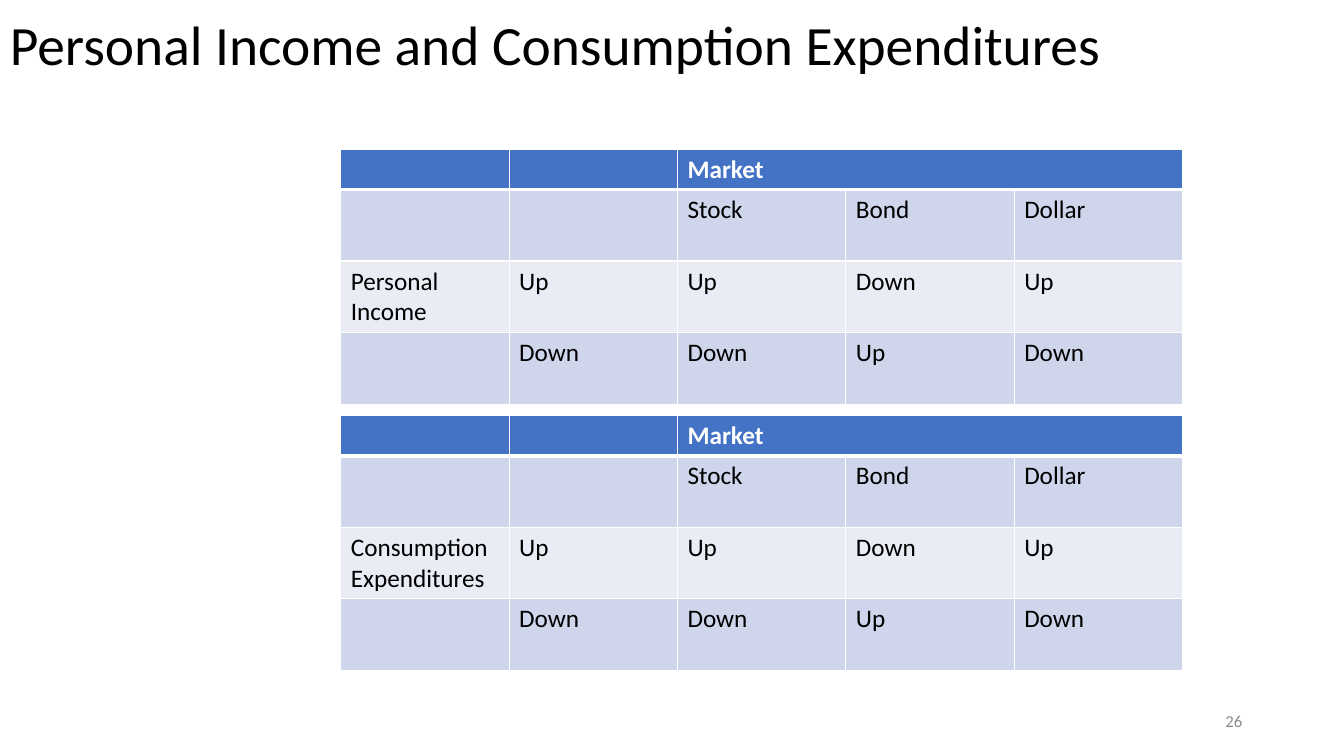
from lxml import etree
from pptx import Presentation
from pptx.dml.color import RGBColor
from pptx.enum.text import MSO_ANCHOR, PP_ALIGN
from pptx.oxml.ns import qn
from pptx.util import Inches, Pt

MIDDLE = MSO_ANCHOR.MIDDLE
LEFT, RIGHT = PP_ALIGN.LEFT, PP_ALIGN.RIGHT
COLORS = {
    "text": "000000",
    "white": "FFFFFF",
    "header": "4472C4",
    "band_dark": "CFD5EA",
    "band_light": "E9EBF5",
    "number": "8C8C8C",
}
COLUMN_WIDTH = 1.67
ROW_HEIGHTS = [0.4, 0.71, 0.71, 0.71]
ROW_FILLS = ["header", "band_dark", "band_light", "band_dark"]


class MarketPage:
    """Draws text and market reaction tables on one slide in a shared style."""

    def __init__(self, page, font_name="Calibri"):
        self.page = page
        self.font_name = font_name

    def style(self, para, size, color, bold=False):
        font = para.font
        font.name = self.font_name
        font.size = Pt(size)
        font.bold = bold
        font.color.rgb = RGBColor.from_string(COLORS[color])

    def text(self, words, left, top, width, height, size, color, align=LEFT, spacing=1.0):
        box = self.page.shapes.add_textbox(
            Inches(left), Inches(top), Inches(width), Inches(height))
        frame = box.text_frame
        frame.word_wrap = True
        frame.vertical_anchor = MIDDLE
        para = frame.paragraphs[0]
        para.text = words
        para.alignment = align
        para.line_spacing = spacing
        self.style(para, size, color)

    def borders(self, cell, top, bottom):
        properties = cell._tc.get_or_add_tcPr()
        widths = {"a:lnL": 1, "a:lnR": 1, "a:lnT": top, "a:lnB": bottom}
        for position, (tag, width) in enumerate(widths.items()):
            line = etree.Element(qn(tag), w=str(Pt(width)))
            fill = etree.SubElement(line, qn("a:solidFill"))
            etree.SubElement(fill, qn("a:srgbClr"), val=COLORS["white"])
            properties.insert(position, line)

    def table(self, rows, left, top):
        columns = len(rows[0])
        frame = self.page.shapes.add_table(
            len(rows), columns, Inches(left), Inches(top),
            Inches(COLUMN_WIDTH * columns), Inches(sum(ROW_HEIGHTS)))
        table = frame.table
        for column in table.columns:
            column.width = Inches(COLUMN_WIDTH)
        for r, words in enumerate(rows):
            table.rows[r].height = Inches(ROW_HEIGHTS[r])
            for c, word in enumerate(words):
                cell = table.cell(r, c)
                cell.fill.solid()
                cell.fill.fore_color.rgb = RGBColor.from_string(COLORS[ROW_FILLS[r]])
                self.borders(cell, 3 if r == 1 else 1, 3 if r == 0 else 1)
                cell.text = word
                color = "white" if r == 0 else "text"
                self.style(cell.text_frame.paragraphs[0], 18, color, r == 0)
        table.cell(0, 2).merge(table.cell(0, columns - 1))


def main():
    deck = Presentation()
    deck.slide_width, deck.slide_height = Inches(13.33), Inches(7.5)
    page = MarketPage(deck.slides.add_slide(deck.slide_layouts[6]))
    page.text("Personal Income and Consumption Expenditures",
              0, 0, 11.5, 0.95, 39.6, "text", spacing=0.9)
    for indicator, top in [("Personal Income", 1.48), ("Consumption Expenditures", 4.12)]:
        page.table([
            ["", "", "Market", "", ""],
            ["", "", "Stock", "Bond", "Dollar"],
            [indicator, "Up", "Up", "Down", "Up"],
            ["", "Down", "Down", "Up", "Down"],
        ], 3.38, top)
    page.text("26", 9.42, 6.95, 3, 0.4, 12, "number", align=RIGHT)
    deck.save("out.pptx")


if __name__ == "__main__":
    main()
